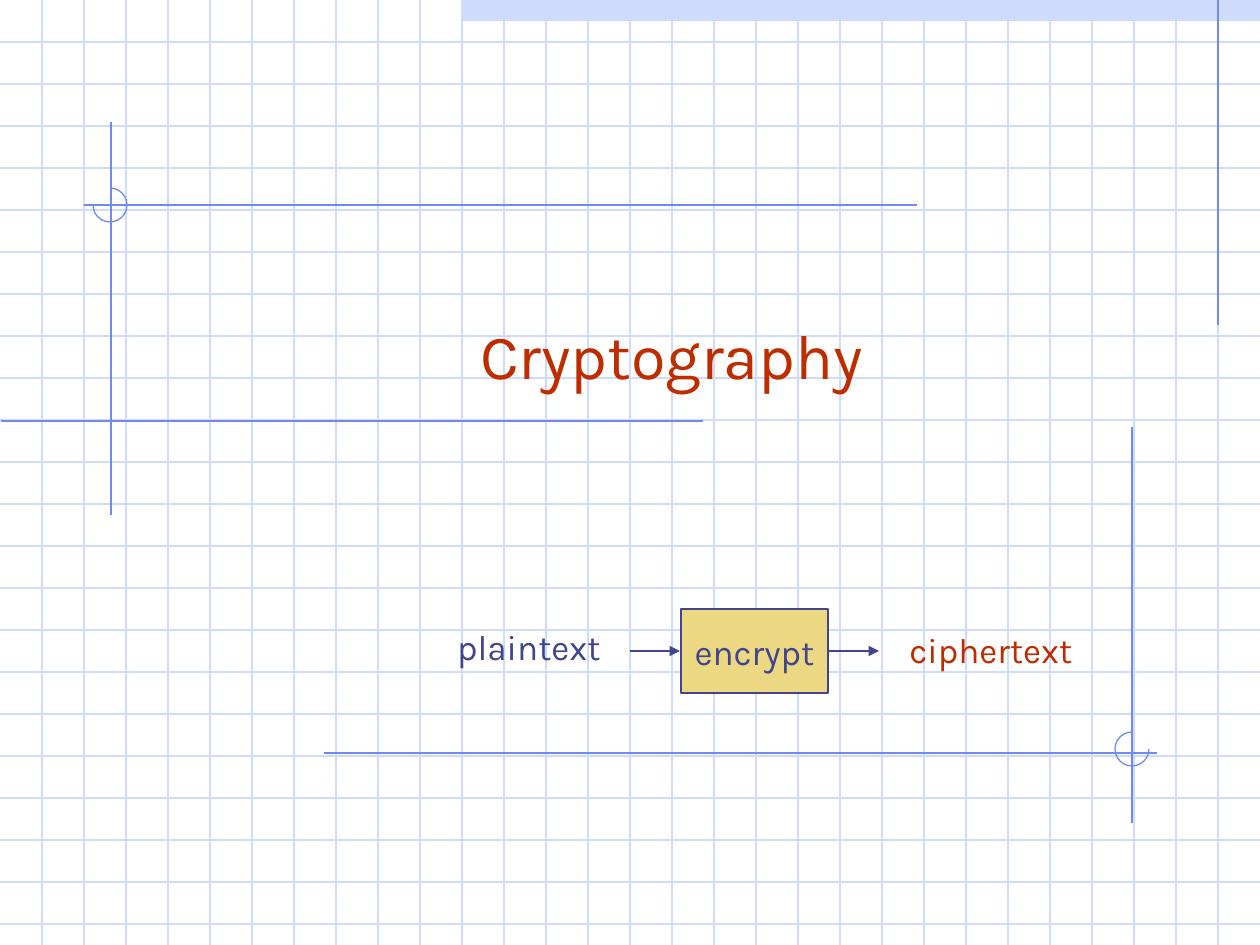
from dataclasses import dataclass

from lxml.etree import SubElement
from pptx import Presentation
from pptx.dml.color import RGBColor
from pptx.enum.shapes import MSO_CONNECTOR, MSO_SHAPE
from pptx.enum.text import MSO_ANCHOR, MSO_AUTO_SIZE, PP_ALIGN
from pptx.oxml.ns import qn
from pptx.util import Emu, Pt

SLIDE_WIDTH, SLIDE_HEIGHT = 1260, 945
GRID_STEP = 42
TITLE_ONLY_LAYOUT = 5


@dataclass(frozen=True)
class Theme:
    font: str = "Karla"
    title_size: int = 36
    label_size: int = 20
    thin: float = 0.75
    thick: float = 1.5
    grid: str = "CFDBFD"
    guide: str = "6F89F7"
    ink: str = "40458C"
    accent: str = "BE2D00"
    panel: str = "ECD882"


THEME = Theme()


def px(length):
    return Emu(round(length * 914400 / 126))


def frame(left, top, width, height):
    return px(left), px(top), px(width), px(height)


def color(code):
    return RGBColor.from_string(code)


def write(shape, text, size, ink):
    """Put one centred line of text into a shape."""
    text_frame = shape.text_frame
    text_frame.text = text
    para = text_frame.paragraphs[0]
    para.alignment = PP_ALIGN.CENTER
    span = para.runs[0]
    span.font.name = THEME.font
    span.font.size = Pt(size)
    span.font.color.rgb = color(ink)


def add_line(slide, start, end, ink, width=THEME.thin, arrow=False):
    line = slide.shapes.add_connector(
        MSO_CONNECTOR.STRAIGHT, px(start[0]), px(start[1]), px(end[0]), px(end[1])
    )
    line.line.color.rgb = color(ink)
    line.line.width = Pt(width)
    properties = line.element.spPr
    if arrow:
        SubElement(properties.find(qn("a:ln")), qn("a:tailEnd"), type="triangle")
    SubElement(properties, qn("a:effectLst"))


def add_box(slide, place, fill, outline=None):
    box = slide.shapes.add_shape(MSO_SHAPE.RECTANGLE, *frame(*place))
    box.shadow.inherit = False
    box.fill.solid()
    box.fill.fore_color.rgb = color(fill)
    if outline:
        box.line.color.rgb = color(outline)
        box.line.width = Pt(THEME.thick)
    else:
        box.line.fill.background()
    return box


def add_arc(slide, center, radius, start, end):
    """Draw an arc clockwise between two angles in degrees, from the right."""
    x, y = center
    arc = slide.shapes.add_shape(
        MSO_SHAPE.ARC, *frame(x - radius, y - radius, 2 * radius, 2 * radius)
    )
    arc.shadow.inherit = False
    arc.fill.background()
    arc.line.color.rgb = color(THEME.guide)
    arc.line.width = Pt(THEME.thin)
    # Adjustments count in 100000ths, angles in 60000ths of a degree.
    arc.adjustments[0] = start * 0.6
    arc.adjustments[1] = end * 0.6


def add_label(slide, place, text, ink):
    box = slide.shapes.add_textbox(*frame(*place))
    box.text_frame.word_wrap = False
    box.text_frame.auto_size = MSO_AUTO_SIZE.SHAPE_TO_FIT_TEXT
    write(box, text, THEME.label_size, ink)


def add_grid(slide):
    add_box(slide, (462, 0, SLIDE_WIDTH - 462, 21), THEME.grid)
    for y in range(GRID_STEP, SLIDE_HEIGHT, GRID_STEP):
        add_line(slide, (0, y), (SLIDE_WIDTH, y), THEME.grid)
    for x in range(GRID_STEP, SLIDE_WIDTH, GRID_STEP):
        add_line(slide, (x, 0), (x, SLIDE_HEIGHT), THEME.grid)


def add_guides(slide):
    guides = [
        ((1218, 0), (1218, 325)),
        ((111, 122), (111, 515)),
        ((703, 421), (1, 421)),
        ((917, 205), (84, 205)),
        ((324, 753), (1157, 753)),
        ((1132, 427), (1132, 823)),
    ]
    for start, end in guides:
        add_line(slide, start, end, THEME.guide)
    add_arc(slide, (110, 205), 17, 270, 180)
    add_arc(slide, (1132, 749), 17, 0, 270)


def add_title(slide, text):
    title = slide.shapes.title
    title.left, title.top, title.width, title.height = frame(136, 241, 1071, 157)
    title.text_frame.auto_size = MSO_AUTO_SIZE.NONE
    title.text_frame.vertical_anchor = MSO_ANCHOR.BOTTOM
    write(title, text, THEME.title_size, THEME.accent)
    # Bring the title in front of the grid.
    title.element.getparent().append(title.element)


def add_encryption_flow(slide):
    add_label(slide, (895, 622, 192, 55), "ciphertext", THEME.accent)
    encrypt = add_box(slide, (681, 609, 147, 84), THEME.panel, THEME.ink)
    encrypt.text_frame.word_wrap = False
    encrypt.text_frame.vertical_anchor = MSO_ANCHOR.MIDDLE
    write(encrypt, "encrypt", THEME.label_size, THEME.ink)
    for x in (829, 630):
        add_line(slide, (x, 651), (x + 50, 651), THEME.ink, THEME.thick, arrow=True)
    add_label(slide, (444, 619, 170, 55), "plaintext", THEME.ink)


def main():
    deck = Presentation()
    deck.slide_width, deck.slide_height = px(SLIDE_WIDTH), px(SLIDE_HEIGHT)
    slide = deck.slides.add_slide(deck.slide_layouts[TITLE_ONLY_LAYOUT])
    add_grid(slide)
    add_guides(slide)
    add_title(slide, "Cryptography")
    add_encryption_flow(slide)
    deck.save("out.pptx")


if __name__ == "__main__":
    main()
